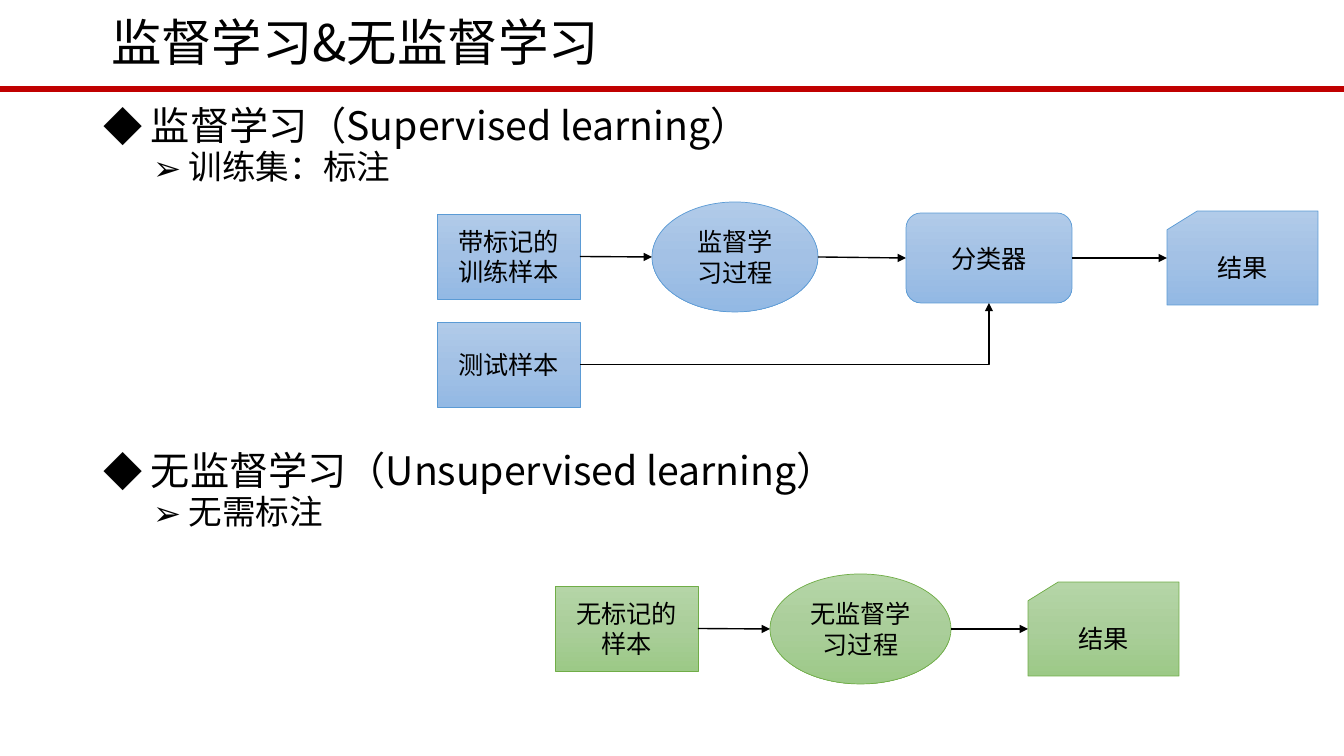
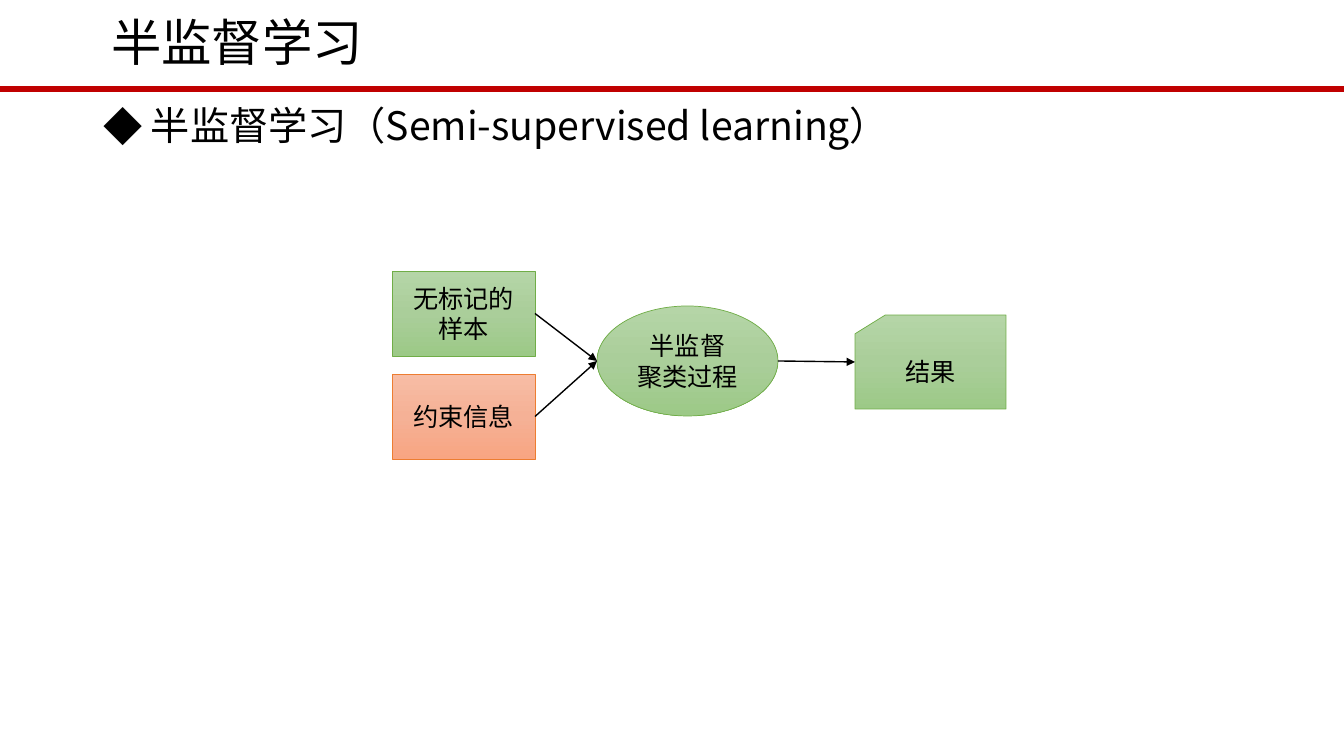
from copy import deepcopy
from dataclasses import dataclass

from pptx import Presentation
from pptx.dml.color import RGBColor as RGB
from pptx.enum.shapes import MSO_CONNECTOR as Link, MSO_SHAPE as Shape
from pptx.enum.text import MSO_ANCHOR as Anchor, MSO_AUTO_SIZE as Auto, PP_ALIGN as Align
from pptx.oxml.ns import qn
from pptx.util import Pt

# Content: bullets are (level, text, space before in points),
# nodes are name: (kind, tint, text, left, top), links are (from, to)
SLIDES = [
    {
        "title": "监督学习&无监督学习",
        "bullets": [
            (0, " 监督学习（Supervised learning）", 0),
            (1, " 训练集：标注", 4),
            (0, " 无监督学习（Unsupervised learning）", 193),
            (1, " 无需标注", 4),
        ],
        "nodes": {
            "train": ("box", "blue", "带标记的训练样本", 437, 214),
            "test": ("box", "blue", "测试样本", 437, 322),
            "learn": ("oval", "blue", "监督学习过程", 652, 202),
            "sorter": ("round", "blue", "分类器", 906, 213),
            "result": ("card", "blue", "结果", 1167, 211),
            "plain": ("box", "green", "无标记的样本", 555, 586),
            "group": ("wide", "green", "无监督学习过程", 770, 574),
            "output": ("card", "green", "结果", 1028, 582),
        },
        "links": [("train", "learn"), ("learn", "sorter"), ("sorter", "result"),
                  ("plain", "group"), ("group", "output")],
        "bends": [("test", "sorter")],
    },
    {
        "title": "半监督学习",
        "bullets": [(0, " 半监督学习（Semi-supervised learning）", 0)],
        "nodes": {
            "plain": ("box", "green", "无标记的样本", 392, 271),
            "group": ("wide", "green", "半监督\n聚类过程", 597, 306),
            "output": ("card", "green", "结果", 855, 315),
            "hint": ("box", "orange", "约束信息", 392, 374),
        },
        "links": [("plain", "group"), ("hint", "group"), ("group", "output")],
        "bends": [],
    },
]

KINDS = {  # preset, width, height
    "box": (Shape.RECTANGLE, 143, 85),
    "oval": (Shape.OVAL, 166, 110),
    "wide": (Shape.OVAL, 181, 110),
    "round": (Shape.ROUNDED_RECTANGLE, 166, 90),
    "card": (Shape.FLOWCHART_CARD, 151, 94),
}
LEVELS = [("◆", 25, 28), ("➢", 75, 24)]  # bullet, indent, type size
HANG = 25
FRAMES = [(101, 11, 790, 69), (93, 105, 1159, 577)]  # title, body
WIDE, HIGH, RULE = 1344, 756, 89


@dataclass
class Theme:
    font: str = "Noto Sans CJK SC"
    ink: str = "000000"
    rule: str = "C00000"
    title: int = 36
    node: int = 18


THEME = Theme()
TINTS = {  # outline, gradient stops
    "blue": ("5B9BD5", ("B1CBE9", "A3C1E5", "93B9E4")),
    "green": ("70AD47", ("B5D5A7", "AACE9A", "9CC987")),
    "orange": ("ED7D31", ("F7BDA5", "F5B196", "F8A582")),
}


def px(n):
    return round(n * 914400 / 100.8)


def add(parent, tag, **attrs):
    child = parent.makeelement(qn(tag), attrs)
    parent.append(child)
    return child


def style(para, size, **form):
    for key, value in form.items():
        setattr(para, key, value)
    for run in para.runs:
        for key, value in {"size": Pt(size), "name": THEME.font, "bold": False}.items():
            setattr(run.font, key, value)
        run.font.color.rgb = RGB.from_string(THEME.ink)
        add(run.font._element, "a:ea", typeface=THEME.font)


def draw_line(slide, start, end, color, width, kind=Link.STRAIGHT, arrow=True):
    line = slide.shapes.add_connector(kind, *map(px, start + end))
    line.line.color.rgb = RGB.from_string(color)
    line.line.width = Pt(width)
    if arrow:
        add(line.line._get_or_add_ln(), "a:tailEnd", type="triangle")
    add(line.element.spPr, "a:effectLst")
    return line


def draw_node(slide, kind, tint, text, left, top):
    preset, width, height = KINDS[kind]
    edge, stops = TINTS[tint]
    node = slide.shapes.add_shape(preset, *map(px, (left, top, width, height)))
    node.shadow.inherit = False
    node.line.color.rgb = RGB.from_string(edge)
    node.line.width = Pt(0.5)
    # Three-stop gradient, top to bottom
    node.fill.gradient()
    node.fill.gradient_angle = 270
    first = node.element.xpath(".//a:gs")[0]
    first.addnext(deepcopy(first))
    for stop, color, place in zip(node.fill.gradient_stops, stops, (0, 0.5, 1)):
        stop.color.rgb = RGB.from_string(color)
        stop.position = place
    frame = node.text_frame
    frame.text = text
    frame.word_wrap = True
    frame.vertical_anchor = Anchor.MIDDLE
    for para in frame.paragraphs:
        style(para, THEME.node, alignment=Align.CENTER)
    return node


def side(node, right):
    kind, _, _, left, top = node
    _, width, height = KINDS[kind]
    return left + width * right, top + height / 2


def fill_body(frame, bullets):
    frame.auto_size = Auto.NONE
    frame.text = "\n".join(text for _, text, _ in bullets)
    for para, (level, _, gap) in zip(frame.paragraphs, bullets):
        mark, indent, size = LEVELS[level]
        style(para, size, level=level, line_spacing=0.8,
              space_before=Pt(gap), space_after=Pt(0))
        props = para._p.get_or_add_pPr()
        props.set("marL", str(px(indent)))
        props.set("indent", str(-px(HANG)))
        add(props, "a:buFont", typeface=THEME.font)
        add(props, "a:buChar", char=mark)


# Shared layout
deck = Presentation()
deck.slide_width, deck.slide_height = px(WIDE), px(HIGH)
layout = deck.slide_layouts[1]
for holder, frame in zip(layout.placeholders, FRAMES):
    holder.left, holder.top, holder.width, holder.height = map(px, frame)

# Slides
for number, page in enumerate(SLIDES):
    slide = deck.slides.add_slide(layout)
    if number == 0:
        rule = draw_line(slide, (0, RULE), (WIDE, RULE), THEME.rule, 4.5, arrow=False)
        layout.shapes.element.append(rule.element)
    title, body = slide.placeholders
    title.text_frame.text = page["title"]
    title.text_frame.auto_size = Auto.NONE
    title.text_frame.vertical_anchor = Anchor.MIDDLE
    style(title.text_frame.paragraphs[0], THEME.title, alignment=Align.LEFT, line_spacing=0.9)
    fill_body(body.text_frame, page["bullets"])

    # Flow chart
    nodes = page["nodes"]
    drawn = {name: draw_node(slide, *node) for name, node in nodes.items()}
    for start, end in page["links"]:
        draw_line(slide, side(nodes[start], 1), side(nodes[end], 0), THEME.ink, 1)
    for start, end in page["bends"]:
        left, top = side(nodes[end], 0.5)
        foot = left, top + KINDS[nodes[end][0]][2] / 2
        bend = draw_line(slide, side(nodes[start], 1), foot, THEME.ink, 1, Link.ELBOW)
        bend.element.xpath(".//a:prstGeom")[0].set("prst", "bentConnector2")
        bend.begin_connect(drawn[start], 3)
        bend.end_connect(drawn[end], 2)

deck.save("out.pptx")
